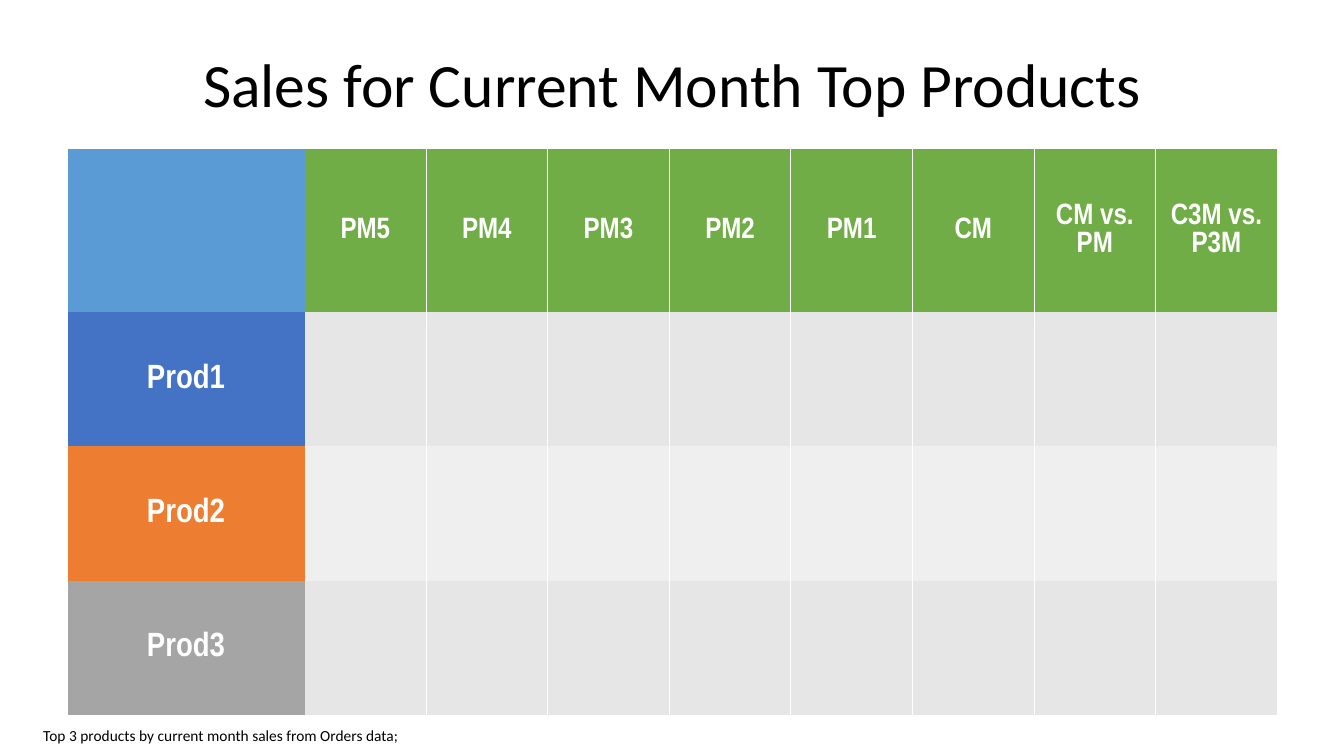
from dataclasses import dataclass

from lxml import etree
from pptx import Presentation
from pptx.dml.color import RGBColor
from pptx.enum.text import MSO_ANCHOR, MSO_AUTO_SIZE, PP_ALIGN
from pptx.oxml.ns import qn
from pptx.util import Inches, Pt

MIDDLE = MSO_ANCHOR.MIDDLE
TOP = MSO_ANCHOR.TOP
CENTER = PP_ALIGN.CENTER
LEFT = PP_ALIGN.LEFT
NO_FIT = MSO_AUTO_SIZE.NONE
GROW = MSO_AUTO_SIZE.SHAPE_TO_FIT_TEXT
PLAIN_TABLE = "{2D5ABB26-0587-4C30-8999-92F81FD0307C}"


@dataclass(frozen=True)
class Theme:
    text: str = "000000"
    light: str = "FFFFFF"
    corner: str = "5B9BD5"
    header: str = "70AD47"
    products: tuple = ("4472C4", "ED7D31", "A5A5A5")
    bands: tuple = ("E7E6E6", "EFEFEF")
    body_font: str = "Calibri"
    table_font: str = "Arial Narrow"
    title_size: float = 44
    product_size: float = 24
    header_size: float = 21
    note_size: float = 11
    rule: float = 0.75
    padding: float = 0.13


THEME = Theme()
WIDTH, HEIGHT = 13.33, 7.5
TITLE_BOX = (0.67, 0.6, 12, 0.54)
TABLE_BOX = (0.67, 1.48, 12, 5.61)
NOTE_BOX = (0.33, 7.15, 12.78, 0.29)
LABEL_WIDTH, HEADER_HEIGHT = 2.35, 1.62
MONTHS = ("PM5", "PM4", "PM3", "PM2", "PM1", "CM", "CM vs. PM", "C3M vs. P3M")
PRODUCTS = ("Prod1", "Prod2", "Prod3")


def set_all(target, values):
    for name, value in values.items():
        setattr(target, name, value)


def margins(x, y):
    return {"margin_left": Inches(x), "margin_right": Inches(x),
            "margin_top": Inches(y), "margin_bottom": Inches(y)}


def write(tf, text, font, size, color, align, bold=False):
    p = tf.paragraphs[0]
    p.alignment = align
    r = p.add_run()
    r.text = text
    set_all(r.font, {"name": font, "size": Pt(size), "bold": bold})
    r.font.color.rgb = RGBColor.from_string(color)
    return p


def add_title(s, box, text):
    sp = s.shapes.title
    set_all(sp, dict(zip(("left", "top", "width", "height"), map(Inches, box))))
    tf = sp.text_frame
    set_all(tf, {"word_wrap": True, "auto_size": NO_FIT, "vertical_anchor": MIDDLE,
                 **margins(THEME.padding, THEME.padding)})
    p = write(tf, text, THEME.body_font, THEME.title_size, THEME.text, CENTER)
    p.line_spacing = 0.9


def add_rule(cell, side):
    ln = etree.Element(qn(f"a:{side}"), w=str(Pt(THEME.rule)))
    fill = etree.SubElement(ln, qn("a:solidFill"))
    etree.SubElement(fill, qn("a:srgbClr"), val=THEME.light)
    cell._tc.get_or_add_tcPr().insert(0, ln)


def format_cell(cell, fill, text="", size=0):
    set_all(cell, {"vertical_anchor": MIDDLE, **margins(THEME.padding, THEME.padding)})
    cell.fill.solid()
    cell.fill.fore_color.rgb = RGBColor.from_string(fill)
    if text:
        write(cell.text_frame, text, THEME.table_font, size, THEME.light, CENTER, True)


def add_sales_table(s, box, months, products):
    frame = s.shapes.add_table(len(products) + 1, len(months) + 1, *map(Inches, box))
    table = frame.table
    set_all(table, {"first_row": False, "horz_banding": False})
    table._tbl.tblPr.find(qn("a:tableStyleId")).text = PLAIN_TABLE

    month_width = (box[2] - LABEL_WIDTH) / len(months)
    product_height = (box[3] - HEADER_HEIGHT) / len(products)
    for i, column in enumerate(table.columns):
        column.width = Inches(month_width if i else LABEL_WIDTH)
    for i, row in enumerate(table.rows):
        row.height = Inches(product_height if i else HEADER_HEIGHT)

    format_cell(table.cell(0, 0), THEME.corner)
    for col, month in enumerate(months, 1):
        format_cell(table.cell(0, col), THEME.header, month, THEME.header_size)
    for row, (product, color) in enumerate(zip(products, THEME.products), 1):
        format_cell(table.cell(row, 0), color, product, THEME.product_size)
        for col in range(1, len(months) + 1):
            format_cell(table.cell(row, col), THEME.bands[(row - 1) % 2])
    for row in range(len(products) + 1):
        for col in range(1, len(months)):
            add_rule(table.cell(row, col), "lnR")
            add_rule(table.cell(row, col + 1), "lnL")


def add_note(s, box, text):
    tf = s.shapes.add_textbox(*map(Inches, box)).text_frame
    set_all(tf, {"word_wrap": True, "auto_size": GROW, "vertical_anchor": TOP,
                 **margins(0.1, 0.05)})
    write(tf, text, THEME.body_font, THEME.note_size, THEME.text, LEFT)


def main():
    prs = Presentation()
    set_all(prs, {"slide_width": Inches(WIDTH), "slide_height": Inches(HEIGHT)})
    s = prs.slides.add_slide(prs.slide_layouts.get_by_name("Title Only"))
    add_title(s, TITLE_BOX, "Sales for Current Month Top Products")
    add_sales_table(s, TABLE_BOX, MONTHS, PRODUCTS)
    add_note(s, NOTE_BOX, "Top 3 products by current month sales from Orders data;")
    prs.save("out.pptx")


if __name__ == "__main__":
    main()
